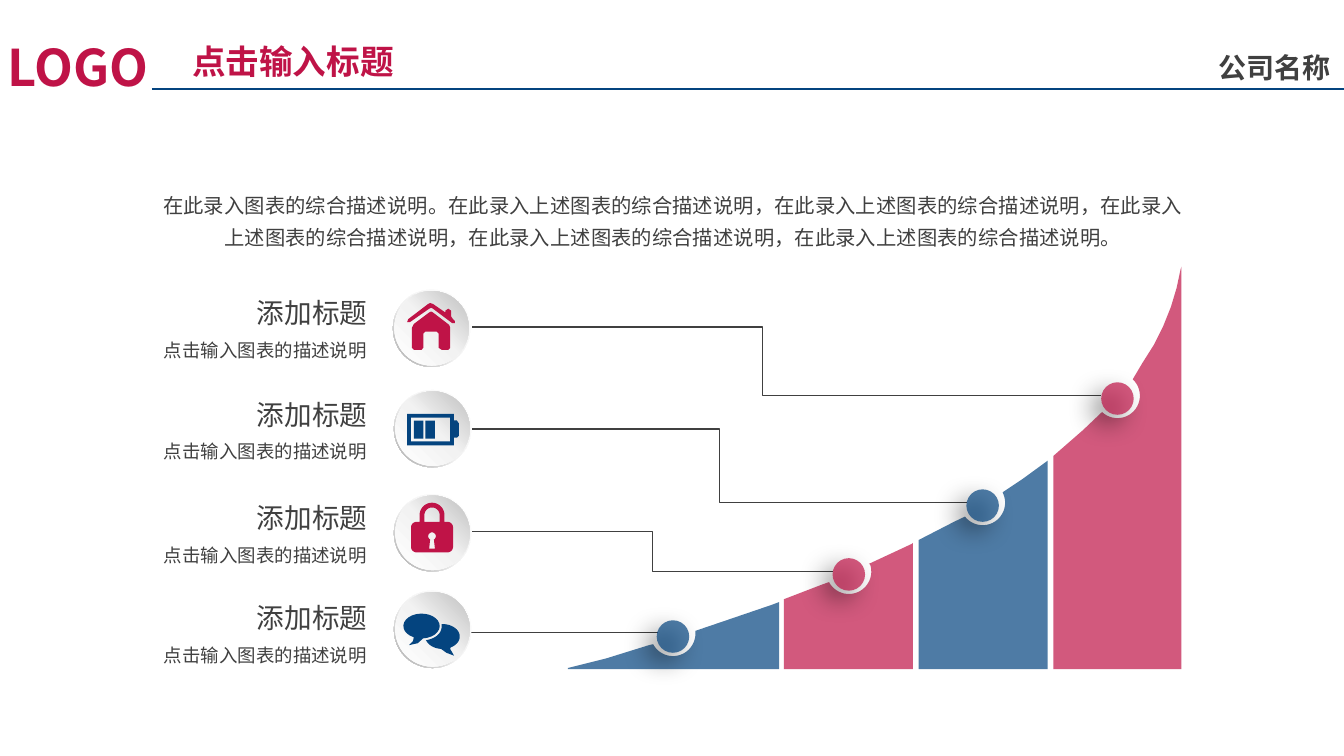
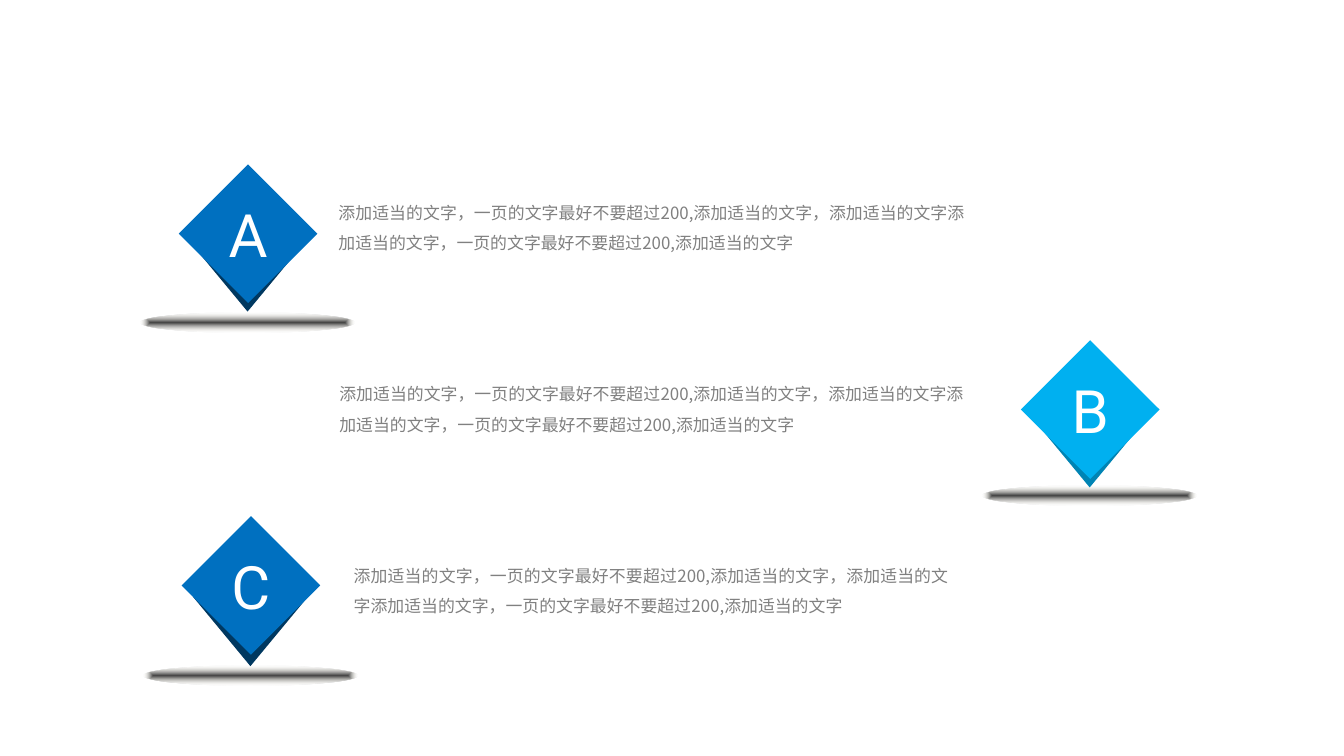
from math import cos, radians, sin
from lxml.etree import SubElement
from pptx import Presentation
from pptx.dml.color import RGBColor
from pptx.enum.shapes import MSO_CONNECTOR, MSO_SHAPE
from pptx.enum.text import MSO_ANCHOR, PP_ALIGN
from pptx.oxml import parse_xml
from pptx.oxml.ns import nsdecls, qn
from pptx.util import Inches, Pt

HUES = {
    "red": "BF1347", "navy": "04447F", "ink": "404040", "grey": "808080",
    "white": "FFFFFF", "blue": "0070C0", "deep": "003860",
    "sky": "00B0F0", "teal": "0084B4",
}
RGB = {name: RGBColor.from_string(code) for name, code in HUES.items()}
CJK = "Noto Sans CJK SC"
GRAD = '<a:gradFill %s rotWithShape="1"><a:gsLst>{}</a:gsLst>{}</a:gradFill>' % nsdecls("a")
STOP = '<a:gs pos="{}"><a:srgbClr val="{}"/></a:gs>'


def arc(mid, rx, ry, start, end, steps=24):
    turns = [radians(start + (end - start) * i / steps) for i in range(steps + 1)]
    return [(mid[0] + rx * cos(t), mid[1] + ry * sin(t)) for t in turns]


def write(frame, words, size, hue, font=CJK, bold=False, align=PP_ALIGN.LEFT,
          inset=(0.08, 0.04), anchor=MSO_ANCHOR.MIDDLE, wrap=False, space=None):
    frame.word_wrap = wrap
    frame.vertical_anchor = anchor
    frame.margin_left = frame.margin_right = Inches(inset[0])
    frame.margin_top = frame.margin_bottom = Inches(inset[1])
    para = frame.paragraphs[0]
    para.alignment = align
    if space:
        para.line_spacing = space
    run = para.add_run()
    run.text = words
    run.font.size = Pt(size)
    run.font.bold = bold
    run.font.name = font
    run.font.color.rgb = RGB[hue]
    SubElement(run.font._element, qn("a:ea"), typeface=CJK)


deck = Presentation()
deck.slide_width, deck.slide_height = Inches(14.06), Inches(7.91)
blank = deck.slide_layouts[6]
chart = deck.slides.add_slide(blank)
cards = deck.slides.add_slide(blank)

wires = [
    (4.94, 3.42, 11.52, 4.14, 46200),
    (4.94, 5.56, 8.71, 5.98, 50000),
    (4.94, 4.49, 10.12, 5.26, 50000),
    (6.88, 6.62, 4.55, 6.62, None),
    (1.59, 0.93, 14.06, 0.93, None),
]
for x1, y1, x2, y2, bend in wires:
    kind = MSO_CONNECTOR.ELBOW if bend else MSO_CONNECTOR.STRAIGHT
    wire = chart.shapes.add_connector(kind, Inches(x1), Inches(y1), Inches(x2), Inches(y2))
    wire.line.width = Pt(1)
    wire.line.color.rgb = RGB["navy" if y1 < 1 else "ink"]
    props = wire._element.spPr
    SubElement(props, qn("a:effectLst"))
    if bend:
        guides = props.find(qn("a:prstGeom")).find(qn("a:avLst"))
        SubElement(guides, qn("a:gd"), name="adj1", fmla=f"val {bend}")

parts = [
    (MSO_SHAPE.DONUT, 0, 0.81, [(0, "FFFFFF"), (55000, "F2F2F2"), (100000, "A6A6A6")], 135),
    (MSO_SHAPE.OVAL, 0.015, 0.78, [(0, "FFFFFF"), (51000, "F2F2F2"), (100000, "BFBFBF")], 315),
]
for left, top in [(4.11, 3.03), (4.12, 4.08), (4.12, 5.17), (4.12, 6.18)]:
    for kind, shift, size, stops, angle in parts:
        disc = chart.shapes.add_shape(
            kind, Inches(left + shift), Inches(top + shift), Inches(size), Inches(size))
        if kind == MSO_SHAPE.DONUT:
            disc.adjustments[0] = 0.05
        disc.line.fill.background()
        disc.shadow.inherit = False
        tints = "".join(STOP.format(*stop) for stop in stops)
        lean = f'<a:lin ang="{angle * 60000}" scaled="0"/>'
        disc._element.spPr.find(qn("a:prstGeom")).addnext(parse_xml(GRAD.format(tints, lean)))

roof = [(4.74, 3.34), (4.72, 3.31), (4.72, 3.25), (4.69, 3.23), (4.66, 3.25), (4.66, 3.27),
        (4.53, 3.18), (4.5, 3.17), (4.48, 3.18), (4.27, 3.34), (4.26, 3.37), (4.29, 3.37),
        (4.49, 3.23), (4.51, 3.22), (4.53, 3.23), (4.73, 3.38), (4.76, 3.38), (4.76, 3.36)]
walls = [(4.53, 3.27), (4.51, 3.26), (4.49, 3.27), (4.33, 3.39), (4.31, 3.43), (4.31, 3.64),
         (4.33, 3.66), (4.41, 3.66), (4.43, 3.64), (4.43, 3.49), (4.45, 3.47), (4.57, 3.47),
         (4.59, 3.49), (4.59, 3.64), (4.62, 3.66), (4.69, 3.66), (4.71, 3.64), (4.71, 3.43),
         (4.7, 3.4)]
case = [(4.26, 4.33), (4.75, 4.33), (4.75, 4.4), (4.78, 4.4), (4.8, 4.43), (4.8, 4.56),
        (4.78, 4.58), (4.75, 4.58), (4.75, 4.66), (4.26, 4.66)]
hollow = [(4.3, 4.37), (4.3, 4.62), (4.71, 4.62), (4.71, 4.37)]
body = (arc((4.36, 5.52), 0.06, 0.06, 180, 270) + [(4.39, 5.46)]
        + arc((4.52, 5.39), 0.13, 0.13, 180, 360) + [(4.65, 5.46)]
        + arc((4.68, 5.52), 0.06, 0.06, 270, 360)
        + arc((4.68, 5.72), 0.06, 0.06, 0, 90) + arc((4.36, 5.72), 0.06, 0.06, 90, 180))
loop = arc((4.52, 5.39), 0.08, 0.08, 180, 360) + [(4.6, 5.46), (4.44, 5.46)]
key = arc((4.52, 5.61), 0.04, 0.04, 120, 420) + [(4.55, 5.74), (4.49, 5.74)]
talk = arc((4.41, 6.55), 0.19, 0.13, 115, 445) + [(4.37, 6.73), (4.28, 6.75), (4.32, 6.71)]
reply = (arc((4.63, 6.66), 0.18, 0.13, 160, 95) + [(4.67, 6.83), (4.75, 6.86), (4.71, 6.79)]
         + arc((4.63, 6.66), 0.18, 0.13, 62, -93) + arc((4.42, 6.56), 0.2, 0.14, 0, 80))
forms = [("red", [roof], 100), ("red", [walls], 100), ("navy", [case, hollow], 100),
         ("red", [body, loop, key], 100), ("navy", [talk], 100), ("navy", [reply], 100)]

spots = [
    ("navy", (7.04, 6.63), 152, -7,
     [(5.94, 6.99), (6.34, 6.89), (6.79, 6.75)], [(7.66, 6.47), (8.07, 6.33), (8.15, 6.3)]),
    ("red", (8.88, 5.98), 152, -18,
     [(8.2, 6.27), (8.59, 6.12)], [(9.09, 5.9), (9.54, 5.69), (9.55, 5.68)]),
    ("navy", (10.28, 5.26), 142, -26,
     [(9.61, 5.65), (9.98, 5.46)], [(10.49, 5.15), (10.7, 5.01), (10.96, 4.82)]),
    ("red", (11.69, 4.14), 133, -47,
     [(11.02, 4.77), (11.33, 4.5), (11.53, 4.31)],
     [(11.95, 3.8), (12.07, 3.61), (12.17, 3.41), (12.25, 3.21), (12.31, 3.01),
      (12.35, 2.82), (12.36, 2.79)]),
]
for hue, mid, start, end, rise, climb in spots:
    floor = [(climb[-1][0], 7), (rise[0][0], 7)]
    forms.append((hue, [rise + arc(mid, 0.235, 0.235, start, end) + climb + floor], 70))

for hue, loops, solid in forms:
    pen = None
    for ring in loops:
        spots_in = [(Inches(x), Inches(y)) for x, y in ring]
        if pen is None:
            pen = chart.shapes.build_freeform(*spots_in[0], scale=1.0)
        else:
            pen.move_to(*spots_in[0])
        pen.add_line_segments(spots_in[1:], close=True)
    form = pen.convert_to_shape()
    form.fill.solid()
    form.fill.fore_color.rgb = RGB[hue]
    form.line.fill.background()
    form.shadow.inherit = False
    if solid < 100:
        tint = form._element.spPr.find(qn("a:solidFill"))[0]
        SubElement(tint, qn("a:alpha"), val=str(solid * 1000))

for left in (4.33, 4.45):
    cell = chart.shapes.add_shape(
        MSO_SHAPE.RECTANGLE, Inches(left), Inches(4.4), Inches(0.1), Inches(0.19))
    cell.fill.solid()
    cell.fill.fore_color.rgb = RGB["navy"]
    cell.line.fill.background()
    cell.shadow.inherit = False

for hue, (x, y), *rest in spots:
    dot = chart.shapes.add_shape(
        MSO_SHAPE.OVAL, Inches(x - 0.17), Inches(y - 0.14), Inches(0.34), Inches(0.34))
    dot.fill.solid()
    dot.fill.fore_color.rgb = RGB[hue]
    dot.line.fill.background()
    dot.shadow.inherit = False
    props = dot._element.spPr
    SubElement(props.find(qn("a:solidFill"))[0], qn("a:alpha"), val="70000")
    shade = SubElement(props.find(qn("a:effectLst")), qn("a:outerShdw"), blurRad=str(Pt(20)),
                       dist=str(Pt(10)), dir="8100000", algn="tr", rotWithShape="0")
    tone = SubElement(shade, qn("a:srgbClr"), val="000000")
    SubElement(tone, qn("a:alpha"), val="60000")

lead = "在此录入图表的综合描述说明。" + "，".join(["在此录入上述图表的综合描述说明"] * 5) + "。"
plain = dict(hue="ink", font="Arial", inset=(0.1, 0.05), anchor=MSO_ANCHOR.TOP)
side = dict(plain, align=PP_ALIGN.RIGHT)
texts = [
    (chart, (1.57, 1.9, 10.94, 0.77), lead,
     dict(plain, size=15.3, align=PP_ALIGN.CENTER, wrap=True, space=1.3)),
    (chart, (12.67, 0.49, 1.34, 0.43), "公司名称", dict(size=21.1, hue="ink", bold=True)),
    (chart, (1.93, 0.38, 2.28, 0.51), "点击输入标题", dict(size=25.3, hue="red", bold=True)),
    (chart, (0, 0.33, 1.73, 0.72), "LOGO", dict(size=38, hue="red", bold=True)),
]
for top in (3.05, 4.11, 5.19, 6.24):
    texts.append((chart, (2.56, top, 1.38, 0.46), "添加标题", dict(side, size=20.8)))
    texts.append((chart, (1.59, top + 0.45, 2.35, 0.34), "点击输入图表的描述说明",
                  dict(side, size=13.9)))

note = ("添加适当的文字，一页的文字最好不要超过200,添加适当的文字，添加适当的文字"
        "添加适当的文字，一页的文字最好不要超过200,添加适当的文字")
for left, top, width in [(3.39, 1.93, 6.85), (3.4, 3.83, 6.83), (3.55, 5.73, 6.52)]:
    texts.append((cards, (left, top, width, 0.8), note,
                  dict(size=12.7, hue="grey", align=PP_ALIGN.JUSTIFY, inset=(0.15, 0.08),
                       anchor=MSO_ANCHOR.TOP, wrap=True, space=1.5)))

for slide, box, words, style in texts:
    label = slide.shapes.add_textbox(*[Inches(n) for n in box])
    write(label.text_frame, words, **style)

fade = ('<a:gs pos="0"><a:srgbClr val="404040"/></a:gs><a:gs pos="100000">'
        '<a:srgbClr val="EEECE1"><a:alpha val="0"/></a:srgbClr></a:gs>')
core = '<a:path path="shape"><a:fillToRect l="50000" t="50000" r="50000" b="50000"/></a:path>'
gems = [
    ("A", 1.87, 1.72, 0.09, 3.27, "blue", "deep"),
    ("B", 10.68, 3.56, 0.09, 5.08, "sky", "teal"),
    ("C", 1.9, 5.4, 0.12, 6.96, "blue", "deep"),
]
for letter, left, top, drop, ground, face, back in gems:
    layers = [
        (MSO_SHAPE.OVAL, left - 0.4, ground, 2.24, 0.21, None),
        (MSO_SHAPE.DIAMOND, left + 0.12, top + drop, 1.2, 1.45, back),
        (MSO_SHAPE.DIAMOND, left, top, 1.45, 1.45, face),
    ]
    for kind, x, y, width, height, hue in layers:
        gem = cards.shapes.add_shape(kind, Inches(x), Inches(y), Inches(width), Inches(height))
        gem.line.fill.background()
        gem.shadow.inherit = False
        if hue:
            gem.fill.solid()
            gem.fill.fore_color.rgb = RGB[hue]
        else:
            geom = gem._element.spPr.find(qn("a:prstGeom"))
            geom.addnext(parse_xml(GRAD.format(fade, core)))
    write(gem.text_frame, letter, 45, "white", font="Roboto", align=PP_ALIGN.CENTER,
          inset=(0, 0), wrap=True)

deck.save("out.pptx")
